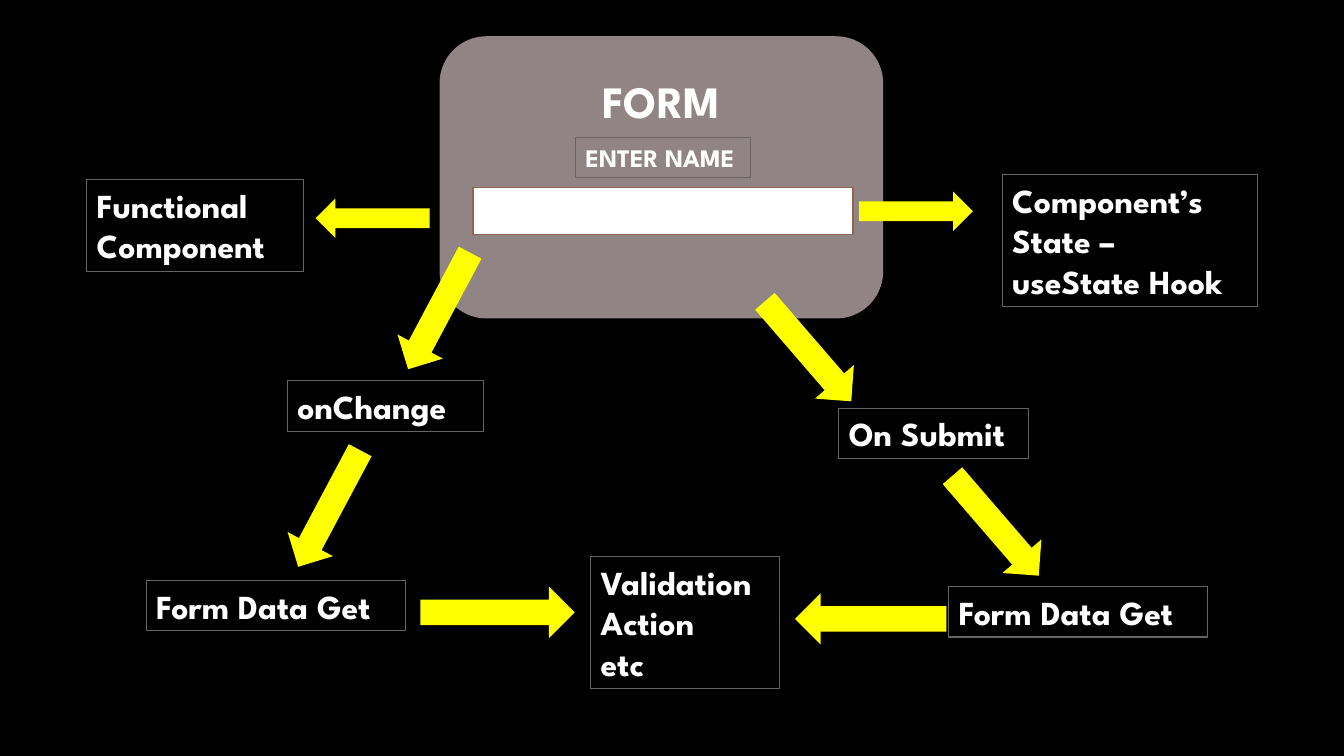
"""Build a slide that maps a form to its component, state, events and data flow."""
from pptx import Presentation
from pptx.dml.color import RGBColor
from pptx.enum.shapes import MSO_SHAPE
from pptx.enum.text import MSO_ANCHOR, PP_ALIGN
from pptx.util import Inches, Pt

RECT, PANEL, ARROW = MSO_SHAPE.RECTANGLE, MSO_SHAPE.ROUNDED_RECTANGLE, MSO_SHAPE.DOWN_ARROW
MIDDLE, LEFT, CENTER = MSO_ANCHOR.MIDDLE, PP_ALIGN.LEFT, PP_ALIGN.CENTER
WHITE, YELLOW, TAUPE, RUST, GREY = "FFFFFF", "FFFF00", "918485", "956251", "696464"

prs = Presentation()
prs.slide_width, prs.slide_height = Inches(13.33), Inches(7.5)
s = prs.slides.add_slide(prs.slide_layouts[5])
s.background.fill.solid()
s.background.fill.fore_color.rgb = RGBColor.from_string("000000")


def add_block(kind, at, fill=None, line=None, weight=0.75):
    """Add a preset shape with an optional fill and outline."""
    sp = s.shapes.add_shape(kind, *map(Inches, at))
    sp.shadow.inherit = False
    for fmt, color in ((sp.fill, fill), (sp.line.fill, line)):
        if color:
            fmt.solid()
            fmt.fore_color.rgb = RGBColor.from_string(color)
        else:
            fmt.background()
    if line:
        sp.line.width = Pt(weight)
    return sp


def write(sp, text, size, align=LEFT):
    """Write one bold white paragraph per line of text."""
    tf = sp.text_frame
    tf.word_wrap, tf.vertical_anchor = True, MIDDLE
    tf.text = text
    for p in tf.paragraphs:
        p.alignment = align
        font = {"name": "League Spartan", "size": Pt(size), "bold": True}
        for key, value in font.items():
            setattr(p.font, key, value)
        p.font.color.rgb = RGBColor.from_string(WHITE)


panel = add_block(PANEL, (4.36, 0.36, 4.4, 2.8), TAUPE)
s.shapes._spTree.insert(2, panel._element)

title = s.shapes.title
title.left, title.top, title.width, title.height = map(Inches, (4.36, 0.67, 4.4, 0.65))
write(title, "FORM", 32, CENTER)

add_block(RECT, (4.69, 1.86, 3.77, 0.47), WHITE, RUST, 1)

labels = [
    ("ENTER NAME", 18, (5.71, 1.36, 1.73, 0.4)),
    ("Functional\nComponent", 24, (0.86, 1.78, 2.15, 0.91)),
    ("Component’s\nState –\nuseState Hook", 24, (9.94, 1.73, 2.53, 1.31)),
    ("onChange", 24, (2.85, 3.78, 1.95, 0.5)),
    ("On Submit", 24, (8.32, 4.05, 1.88, 0.5)),
    ("Form Data Get", 24, (1.45, 5.76, 2.57, 0.5)),
    ("Form Data Get", 24, (9.41, 5.82, 2.57, 0.5)),
    ("Validation\nAction\netc", 24, (5.86, 5.52, 1.87, 1.31)),
]
for text, size, at in labels:
    write(add_block(RECT, at, line=GREY), text, size)

arrows = [
    (90, (3.5, 1.6, 0.39, 1.13)),
    (270, (8.89, 1.53, 0.39, 1.13)),
    (28, (4.1, 2.43, 0.51, 1.31)),
    (28, (3.01, 4.39, 0.51, 1.31)),
    (319.2, (7.76, 2.83, 0.51, 1.31)),
    (319.2, (9.62, 4.56, 0.51, 1.31)),
    (270, (4.68, 5.31, 0.51, 1.53)),
    (90, (8.38, 5.39, 0.51, 1.5)),
]
for angle, at in arrows:
    add_block(ARROW, at, YELLOW).rotation = angle

prs.save("out.pptx")
